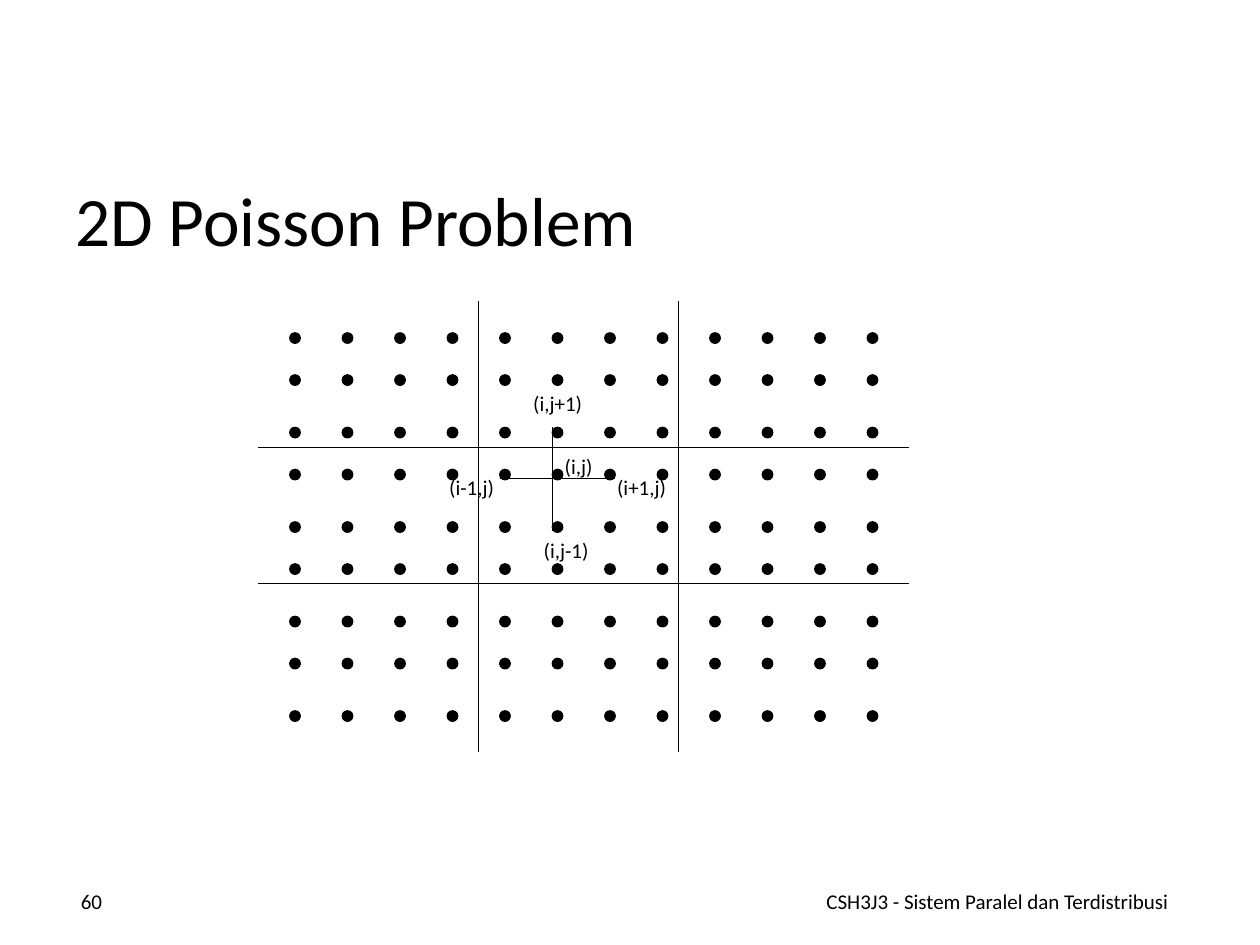
from dataclasses import dataclass
from itertools import accumulate, product

from pptx import Presentation
from pptx.dml.color import RGBColor
from pptx.enum.shapes import MSO_CONNECTOR, MSO_SHAPE
from pptx.enum.text import MSO_ANCHOR, MSO_AUTO_SIZE, PP_ALIGN
from pptx.oxml.ns import qn
from pptx.slide import Slide
from pptx.text.text import TextFrame
from pptx.util import Emu, Pt

BLACK = RGBColor(0x00, 0x00, 0x00)
EMU_PER_PX = 7620  # 120 px to the inch
DOT_SIZE = 10
LINE_WIDTH = Pt(0.75)


@dataclass(frozen=True)
class Label:
    text: str
    left: int
    top: int
    width: int
    height: int = 36
    size: float = 12
    align: PP_ALIGN = PP_ALIGN.LEFT
    anchor: MSO_ANCHOR = MSO_ANCHOR.TOP
    wrap: bool = False
    auto_size: MSO_AUTO_SIZE = MSO_AUTO_SIZE.SHAPE_TO_FIT_TEXT


@dataclass(frozen=True)
class Segment:
    x1: int
    y1: int
    x2: int
    y2: int


FIXED = {
    "anchor": MSO_ANCHOR.MIDDLE,
    "wrap": True,
    "auto_size": MSO_AUTO_SIZE.NONE,
}
TITLE = Label("2D Poisson Problem", 60, 170, 1080, 76, size=39.6, **FIXED)
FOOTERS = [
    Label("CSH3J3 - Sistem Paralel dan Terdistribusi", 760, 834, 380, 48,
          align=PP_ALIGN.CENTER, **FIXED),
    Label("60", 40, 834, 69, 48, align=PP_ALIGN.RIGHT, **FIXED),
]
STENCIL_LABELS = [
    Label("(i,j)", 526, 426, 54),
    Label("(i+1,j)", 576, 446, 74, wrap=True),
    Label("(i-1,j)", 416, 446, 71),
    Label("(i,j-1)", 506, 506, 71),
    Label("(i,j+1)", 496, 366, 74),
]

GRID_COLUMNS = [276 + 50 * column for column in range(12)]
GRID_ROWS = list(accumulate([40, 50] * 4, initial=317))
STENCIL_ARMS = [Segment(476, 456, 586, 456), Segment(526, 407, 526, 506)]
BLOCK_BORDERS = [
    *(Segment(246, y, 866, y) for y in (426, 556)),
    *(Segment(x, 287, x, 716) for x in (456, 646)),
]


def px(length: int) -> Emu:
    return Emu(length * EMU_PER_PX)


def write_text(frame: TextFrame, label: Label) -> None:
    settings = {
        "word_wrap": label.wrap,
        "auto_size": label.auto_size,
        "vertical_anchor": label.anchor,
    }
    for name, value in settings.items():
        setattr(frame, name, value)
    paragraph = frame.paragraphs[0]
    paragraph.alignment = label.align
    span = paragraph.add_run()
    span.text = label.text
    for name, value in {"name": "Calibri", "size": Pt(label.size)}.items():
        setattr(span.font, name, value)
    span.font.color.rgb = BLACK


def add_title(page: Slide, label: Label) -> None:
    title = page.shapes.title
    for side in ("left", "top", "width", "height"):
        setattr(title, side, px(getattr(label, side)))
    write_text(title.text_frame, label)


def add_label(page: Slide, label: Label) -> None:
    box = page.shapes.add_textbox(
        px(label.left), px(label.top), px(label.width), px(label.height))
    write_text(box.text_frame, label)


def add_dot(page: Slide, left: int, top: int) -> None:
    dot = page.shapes.add_shape(
        MSO_SHAPE.OVAL, px(left), px(top), px(DOT_SIZE), px(DOT_SIZE))
    dot.shadow.inherit = False
    dot.fill.solid()
    dot.fill.fore_color.rgb = BLACK
    dot.line.color.rgb = BLACK
    dot.line.width = LINE_WIDTH


def add_segment(page: Slide, segment: Segment) -> None:
    line = page.shapes.add_connector(
        MSO_CONNECTOR.STRAIGHT, px(segment.x1), px(segment.y1),
        px(segment.x2), px(segment.y2))
    line.line.color.rgb = BLACK
    line.line.width = LINE_WIDTH
    properties = line._element.spPr
    properties.append(properties.makeelement(qn("a:effectLst"), {}))


def main() -> None:
    deck = Presentation()
    deck.slide_width, deck.slide_height = px(1200), px(900)
    page = deck.slides.add_slide(deck.slide_layouts.get_by_name("Title Only"))

    add_title(page, TITLE)
    for footer in FOOTERS:
        add_label(page, footer)
    for top, left in product(GRID_ROWS, GRID_COLUMNS):
        add_dot(page, left, top)
    for arm in STENCIL_ARMS:
        add_segment(page, arm)
    for label in STENCIL_LABELS:
        add_label(page, label)
    for border in BLOCK_BORDERS:
        add_segment(page, border)

    deck.save("out.pptx")


if __name__ == "__main__":
    main()
